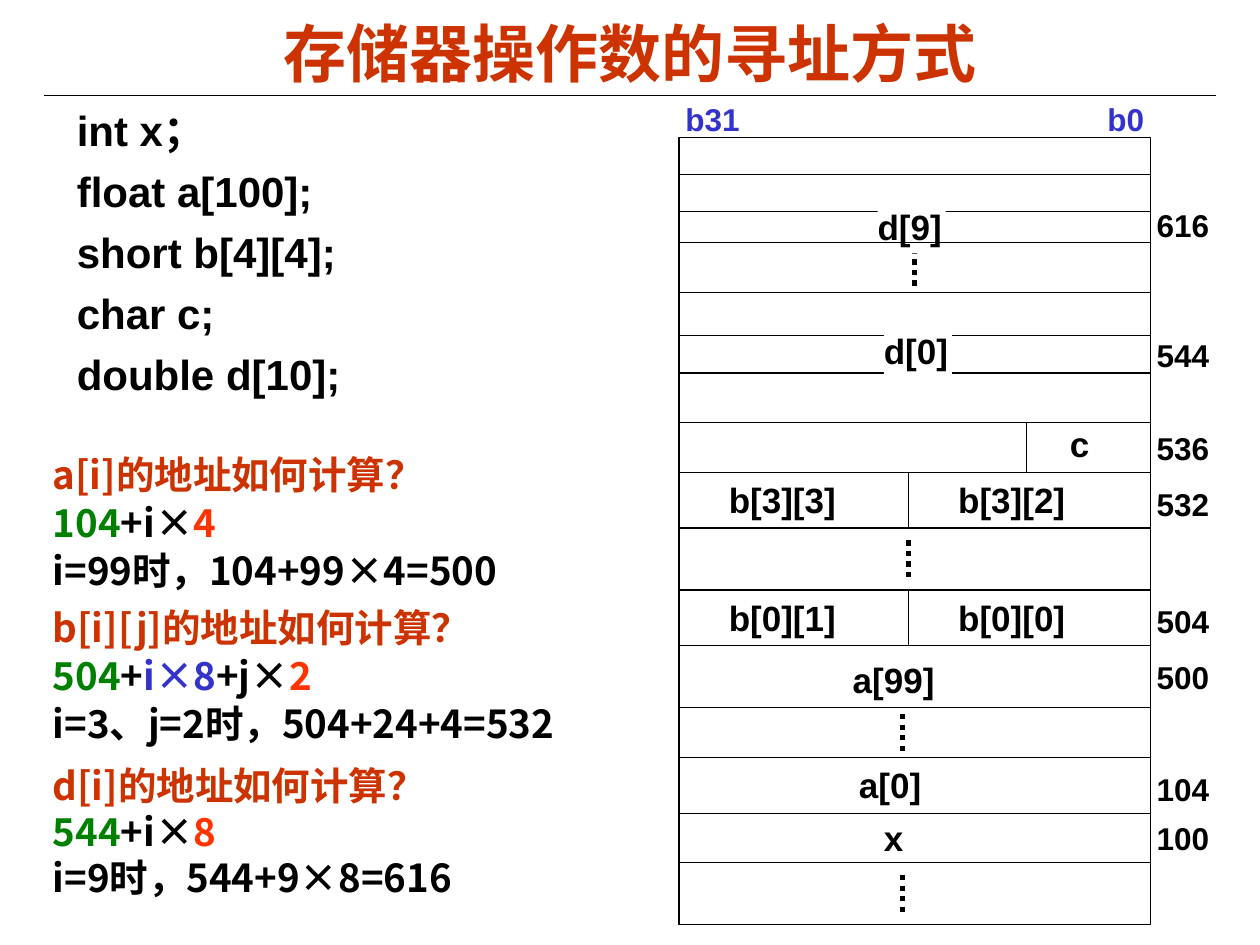
from dataclasses import dataclass
from itertools import accumulate

from lxml.etree import SubElement
from pptx import Presentation
from pptx.dml.color import RGBColor
from pptx.enum.dml import MSO_LINE as Dash
from pptx.enum.shapes import MSO_CONNECTOR as Connector, MSO_SHAPE as Shape
from pptx.enum.text import MSO_ANCHOR as Anchor, MSO_AUTO_SIZE as AutoSize, PP_ALIGN as Align
from pptx.oxml.ns import qn
from pptx.util import Inches, Pt

BLACK, WHITE, RUST = "000000", "FFFFFF", "CC3300"
GREEN, BLUE, RED = "008000", "3333CC", "FF3300"
LATIN, CHINESE = "Arial", "Noto Sans CJK SC"

UNIT = 6.25 / 127
MAP_LEFT, MAP_TOP, MAP_COLUMNS = 5.39, 1.09, 76
ROW_HEIGHTS = (6, 6, 5, 8, 7, 6, 8, 8, 9, 10, 9, 10, 8, 9, 8, 10)
ROW_TOPS = list(accumulate(ROW_HEIGHTS, initial=0))
ADDRESS_COLUMN = 75


@dataclass(frozen=True)
class Label:
    """Text in a memory row; column, shift and width count grid units."""
    text: str
    row: int
    column: int
    width: int
    shift: float = 0
    masked: bool = False


@dataclass(frozen=True)
class Mark:
    """A vertical line that starts in a memory row."""
    row: int
    column: int
    length: int
    shift: int = 0
    dotted: bool = False


LABELS = (
    Label("x", 14, 31, 9, -0.5), Label("a[0]", 13, 27, 18), Label("a[99]", 11, 26, 18, 1),
    Label("b[0][1]", 10, 6, 25), Label("b[0][0]", 10, 43, 25),
    Label("b[3][3]", 8, 6, 25), Label("b[3][2]", 8, 43, 25), Label("c", 7, 61, 9, -1),
    Label("d[0]", 5, 33, 11, -2, True), Label("d[9]", 2, 32, 11, -2, True),
)
ADDRESSES = tuple(Label(text, row, ADDRESS_COLUMN, 13, shift) for text, row, shift in (
    ("100", 14, 0), ("104", 13, 1), ("500", 11, 1), ("504", 10, 1),
    ("532", 8, 1), ("536", 7, 0), ("544", 5, -1), ("616", 2, -2)))
MARKS = (
    Mark(10, 37, 9), Mark(8, 37, 9), Mark(7, 56, 8),
    Mark(15, 36, 6, 2, True), Mark(12, 36, 6, 1, True),
    Mark(9, 37, 6, 2, True), Mark(3, 38, 6, 1, True),
)
DECLARATIONS = ("int x；", "float a[100];", "short b[4][4];", "char c;", "double d[10];")
QUESTIONS = (
    ([("a[i]的地址如何计算？", RUST)], 0),
    ([("104", GREEN), ("+i×", BLACK), ("4", RED)], 0.05),
    ([("i=99时，104+99×4=500", BLACK)], 0.05),
    ([("b[i][j]的地址如何计算？", RUST)], 0.3),
    ([("504", GREEN), ("+", BLACK), ("i×8", BLUE), ("+j×", BLACK), ("2", RED)], 0.05),
    ([("i=3、j=2时，504+24+4=532", BLACK)], 0.05),
    ([("d[i]的地址如何计算？", RUST)], 0.4),
    ([("544", GREEN), ("+i×", BLACK), ("8", RED)], 0),
    ([("i=9时，544+9×8=616", BLACK)], 0),
)


def color(value: str) -> RGBColor:
    """Turn a hex string into a colour."""
    return RGBColor.from_string(value)


def map_x(column: float) -> float:
    """Return the inches from the left of the slide to a map column."""
    return MAP_LEFT + column * UNIT


def map_y(units: float) -> float:
    """Return the inches from the top of the slide to a map height."""
    return MAP_TOP + units * UNIT


def place(shape, left: float, top: float, width: float, height: float) -> None:
    """Move and size a shape in inches."""
    shape.left, shape.top = Inches(left), Inches(top)
    shape.width, shape.height = Inches(width), Inches(height)


def write(para, spans, *, size: float, font: str = LATIN, before: float = 0,
          spacing=None, align=None) -> None:
    """Fill a paragraph with coloured bold spans."""
    para.space_before, para.line_spacing = Pt(before), spacing
    if align is not None:
        para.alignment = align
    for text, ink in spans:
        span = para.add_run()
        span.text = text
        span.font.size, span.font.bold, span.font.name = Pt(size), True, font
        span.font.color.rgb = color(ink)
        if font == CHINESE:
            SubElement(span.font._element, qn("a:ea"), typeface=font)


def paragraph(frame, index: int):
    """Return the first paragraph or append a new one."""
    return frame.add_paragraph() if index else frame.paragraphs[0]


def text_box(shapes, left: float, top: float, width: float, height: float):
    """Add a wrapping text box and return its frame."""
    box = shapes.add_textbox(Inches(left), Inches(top), Inches(width), Inches(height))
    box.text_frame.word_wrap = True
    return box.text_frame


def draw_line(shapes, x1: float, y1: float, x2: float, y2: float, dotted: bool = False) -> None:
    """Draw a thin solid or a thick dotted black line."""
    line = shapes.add_connector(Connector.STRAIGHT, Inches(x1), Inches(y1), Inches(x2), Inches(y2))
    line.line.color.rgb, line.line.width = color(BLACK), Pt(3 if dotted else 0.75)
    if dotted:
        line.line.dash_style = Dash.ROUND_DOT
    SubElement(line._element.spPr, qn("a:effectLst"))


def white_box(shapes, left: float, top: float, width: float, height: float):
    """Add a white rectangle without an outline."""
    box = shapes.add_shape(Shape.RECTANGLE, Inches(left), Inches(top), Inches(width), Inches(height))
    box.shadow.inherit = False
    box.fill.solid()
    box.fill.fore_color.rgb = color(WHITE)
    box.line.fill.background()
    return box


def draw_label(shapes, label: Label, size: float) -> None:
    """Draw a text label of the memory map."""
    area = (map_x(label.column), map_y(ROW_TOPS[label.row] + label.shift), label.width * UNIT, 0.43)
    if label.masked:
        frame = white_box(shapes, *area).text_frame
        frame.margin_left = frame.margin_right = 0
        frame.vertical_anchor = Anchor.TOP
    else:
        frame = text_box(shapes, *area)
    write(frame.paragraphs[0], [(label.text, BLACK)], size=size, align=Align.LEFT)


def draw_row_line(shapes, row: int) -> None:
    """Draw the line along the top of a memory row."""
    y = map_y(ROW_TOPS[row])
    draw_line(shapes, map_x(0), y, map_x(MAP_COLUMNS), y)


def draw_memory(page) -> None:
    """Draw the memory map with its bit numbers and addresses."""
    shapes = page.shapes.add_group_shape().shapes
    outline = white_box(shapes, MAP_LEFT, MAP_TOP, MAP_COLUMNS * UNIT, ROW_TOPS[-1] * UNIT)
    outline.line.color.rgb, outline.line.width = color(BLACK), Pt(0.75)
    header = text_box(shapes, map_x(-1), map_y(-7), 81 * UNIT, 8 * UNIT).paragraphs[0]
    write(header, [("b31\tb0", BLUE)], size=18)
    tabs = SubElement(header._p.get_or_add_pPr(), qn("a:tabLst"))
    SubElement(tabs, qn("a:tab"), pos=str(Inches(3.35)), algn="l")
    top_line = 3
    for row in range(1, len(ROW_HEIGHTS)):
        if row != top_line:
            draw_row_line(shapes, row)
    for mark in MARKS:
        x, start = map_x(mark.column), ROW_TOPS[mark.row] + mark.shift
        draw_line(shapes, x, map_y(start), x, map_y(start + mark.length), mark.dotted)
    for labels, size in ((LABELS, 20), (ADDRESSES, 18)):
        for label in labels:
            draw_label(shapes, label, size)
    draw_row_line(shapes, top_line)


def main() -> None:
    """Build and save the slide."""
    deck = Presentation()
    deck.slide_width, deck.slide_height = Inches(10), Inches(7.5)
    page = deck.slides.add_slide(deck.slide_layouts[1])
    title, body = page.placeholders
    place(title, 0.5, 0.11, 9, 0.61)
    title.text_frame.auto_size, title.text_frame.vertical_anchor = AutoSize.NONE, Anchor.MIDDLE
    write(title.text_frame.paragraphs[0], [("存储器操作数的寻址方式", RUST)], size=36, align=Align.CENTER)
    draw_line(page.shapes, 0.35, 0.76, 9.65, 0.76)

    place(body, 0.51, 0.78, 3.4, 2.49)
    body.text_frame.auto_size = AutoSize.NONE
    for index, text in enumerate(DECLARATIONS):
        para = paragraph(body.text_frame, index)
        write(para, [(text, BLACK)], size=24, before=6 if index else 0)
        properties = para._p.get_or_add_pPr()
        properties.set("marL", str(Inches(0.38)))
        properties.set("indent", str(Inches(-0.38)))
        SubElement(properties, qn("a:buNone"))

    frame = text_box(page.shapes, 0.32, 3.53, 4.68, 3.73)
    for index, (spans, share) in enumerate(QUESTIONS):
        write(paragraph(frame, index), spans, size=22, font=CHINESE,
              before=round(22 * share, 1), spacing=Pt(26.3))
    draw_memory(page)
    deck.save("out.pptx")


if __name__ == "__main__":
    main()
